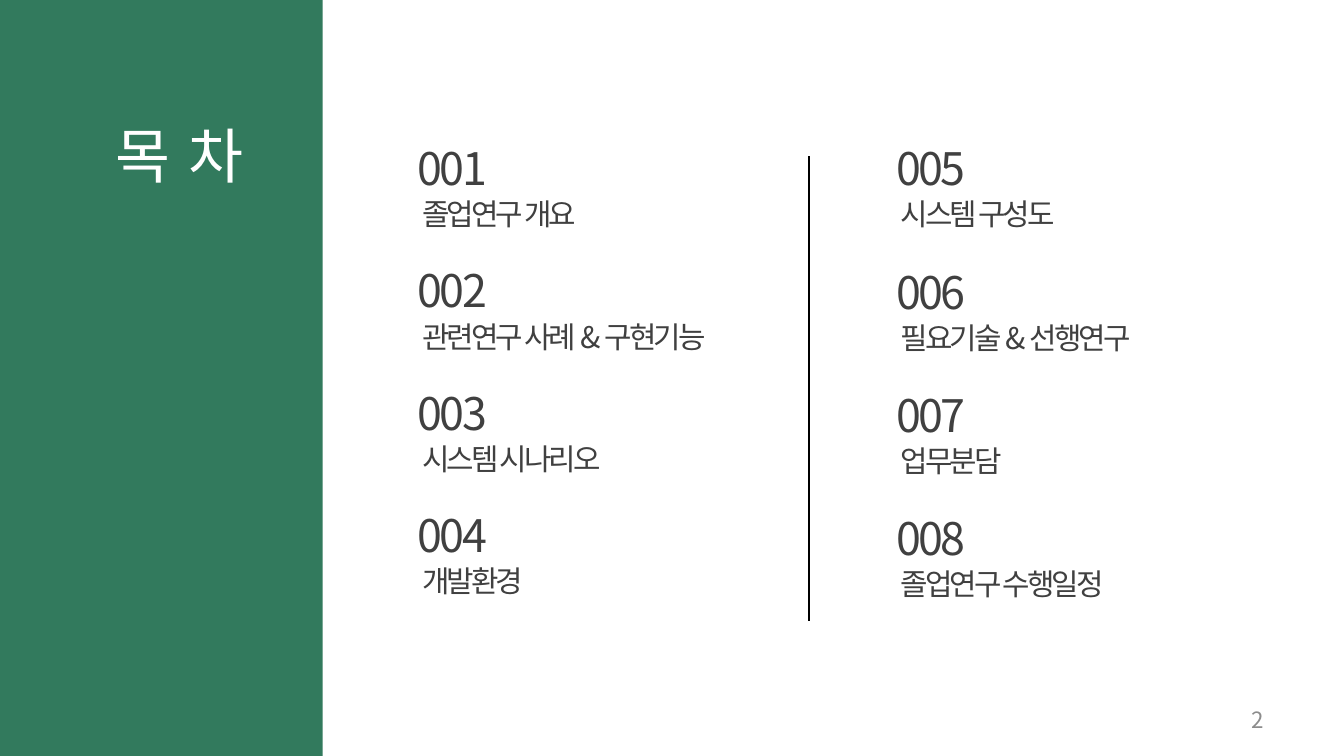
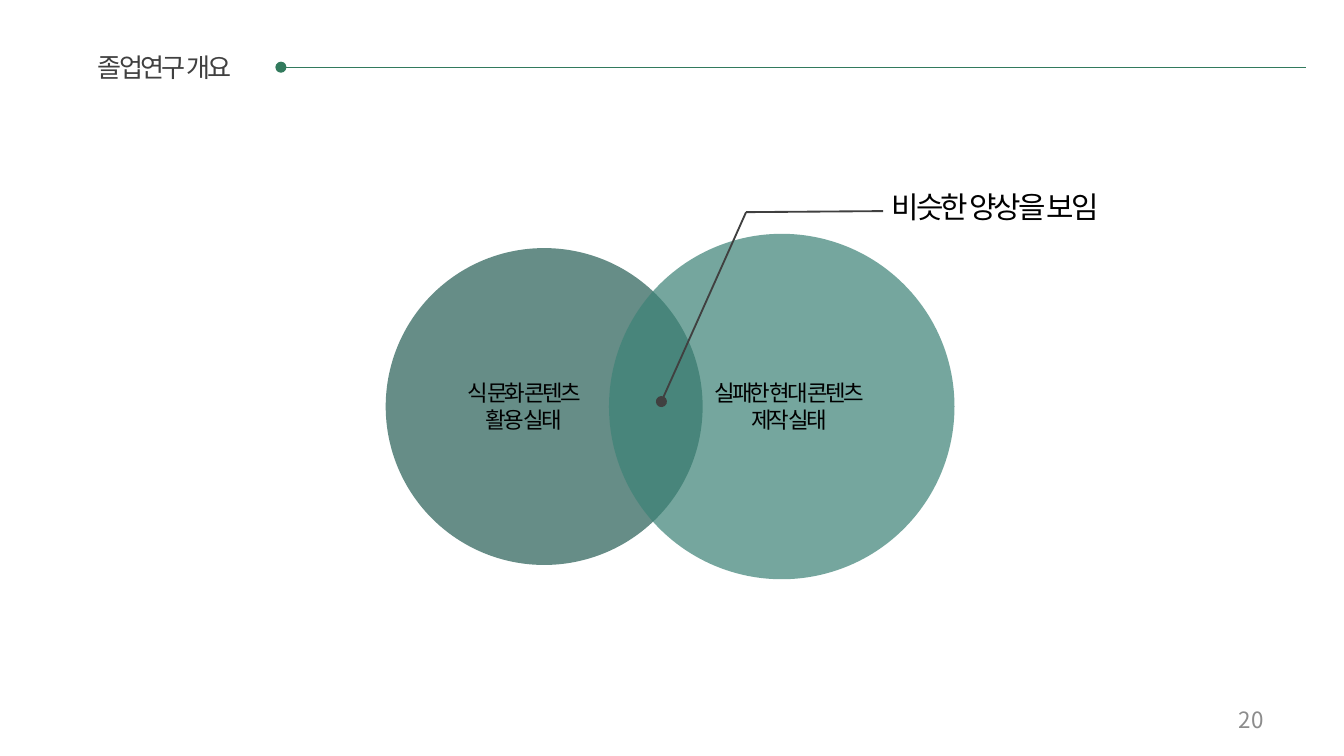
import dataclasses

import pptx
import pptx.dml.color
import pptx.enum.shapes
import pptx.enum.text
import pptx.oxml
import pptx.oxml.ns
import pptx.util
from lxml import etree

Cm = pptx.util.Cm
Pt = pptx.util.Pt
Align = pptx.enum.text.PP_ALIGN
Shape = pptx.enum.shapes.MSO_SHAPE


@dataclasses.dataclass(frozen=True)
class Theme:
    font: str = "Noto Sans CJK KR"
    green: str = "327A5D"
    dark_teal: str = "2E645B"
    light_teal: str = "3D8377"
    white: str = "FFFFFF"
    black: str = "000000"
    charcoal: str = "404040"
    grey: str = "8C8C8C"
    cover_size: float = 32
    number_size: float = 24
    entry_size: float = 16
    title_size: float = 14
    small_size: float = 12
    tight: float = -1.5
    wide: float = 1.35


@dataclasses.dataclass(frozen=True)
class Box:
    """A region in centimetres."""
    left: float
    top: float
    width: float
    height: float

    def inner(self, left, top, width, height):
        """Return a region whose place is measured from this one."""
        return Box(self.left + left, self.top + top, width, height)

    def point(self, x, y):
        return Cm(self.left + x), Cm(self.top + y)

    def lengths(self):
        return Cm(self.left), Cm(self.top), Cm(self.width), Cm(self.height)


THEME = Theme()
PAGE = Box(0, 0, 25.4, 14.29)

COLUMNS = [
    # left, row pitch, caption width, entries
    (7.65, 2.31, 9.2, ["졸업연구 개요", "관련연구 사례 & 구현기능",
                       "시스템 시나리오", "개발환경"]),
    (16.69, 2.33, 6.2, ["시스템 구성도", "필요기술 & 선행연구",
                        "업무분담", "졸업연구 수행일정"]),
]


def rgb(color):
    return pptx.dml.color.RGBColor.from_string(color)


def add_text(slide, box, lines, size, color, align=Align.LEFT,
             spacing=THEME.tight, grow=True):
    frame = slide.shapes.add_textbox(*box.lengths()).text_frame
    frame.word_wrap = True
    if grow:
        frame.auto_size = pptx.enum.text.MSO_AUTO_SIZE.SHAPE_TO_FIT_TEXT
    else:
        frame.vertical_anchor = pptx.enum.text.MSO_ANCHOR.MIDDLE
    frame.text = "\n".join(lines)
    for para in frame.paragraphs:
        para.alignment = align
        para.font.name = THEME.font
        para.font.size = Pt(size)
        para.font.color.rgb = rgb(color)
        style = para._p.pPr.find(pptx.oxml.ns.qn("a:defRPr"))
        style.set("spc", str(round(spacing * 100)))
        east_asian = etree.SubElement(style, pptx.oxml.ns.qn("a:ea"))
        east_asian.set("typeface", THEME.font)


def add_filled(slide, kind, box, color, opacity=100):
    shape = slide.shapes.add_shape(kind, *box.lengths())
    shape.shadow.inherit = False
    shape.line.fill.background()
    shape.fill.solid()
    shape.fill.fore_color.rgb = rgb(color)
    if opacity < 100:
        tint = shape.fill._xPr.find(".//" + pptx.oxml.ns.qn("a:srgbClr"))
        alpha = etree.SubElement(tint, pptx.oxml.ns.qn("a:alpha"))
        alpha.set("val", str(opacity * 1000))


def add_line(slide, start, end, color, width, dot=False):
    """Draw a straight line, with a round dot at its start if asked."""
    line = slide.shapes.add_connector(
        pptx.enum.shapes.MSO_CONNECTOR.STRAIGHT, *start, *end)
    line.line.color.rgb = rgb(color)
    line.line.width = Pt(width)
    properties = line._element.spPr
    if dot:
        outline = properties.find(pptx.oxml.ns.qn("a:ln"))
        head = etree.SubElement(outline, pptx.oxml.ns.qn("a:headEnd"))
        head.set("type", "oval")
    etree.SubElement(properties, pptx.oxml.ns.qn("a:effectLst"))


def add_page_number(slide, page, number):
    add_text(slide, page.inner(18.21, 13.23, 5.92, 0.76), [str(number)],
             THEME.small_size, THEME.grey, Align.RIGHT, spacing=0, grow=False)


def add_side_band(slide, box):
    add_filled(slide, Shape.RECTANGLE, box, THEME.green)
    add_text(slide, box.inner(3, 2.13, 4.19, 1.63), ["목 차"],
             THEME.cover_size, THEME.white, Align.CENTER, THEME.wide)


def add_contents_column(slide, box, entries, first_number, pitch):
    for row, entry in enumerate(entries):
        top = row * pitch
        add_text(slide, box.inner(0, top, 2.59, 1.27),
                 [f"{first_number + row:03}"],
                 THEME.number_size, THEME.charcoal)
        add_text(slide, box.inner(0.08, top + 1.04, box.width, 0.94), [entry],
                 THEME.entry_size, THEME.charcoal)


def add_title_bar(slide, box, title):
    middle = box.height / 2
    add_line(slide, box.point(4.8, middle), box.point(box.width, middle),
             THEME.green, 0.75, dot=True)
    add_text(slide, box.inner(0, 0, 5.21, box.height), [title],
             THEME.title_size, THEME.charcoal, Align.CENTER)


def add_venn(slide, box):
    """Draw two overlapping circles, each centred on the box's height."""
    circles = [
        (0, 5.99, THEME.dark_teal, 73, -0.79, ["식 문화 콘텐츠", "활용 실태"]),
        (4.22, 6.53, THEME.light_teal, 71, 4.22,
         ["실패한 현대 콘텐츠", "제작 실태"]),
    ]
    for left, size, color, opacity, label_left, label in circles:
        circle = box.inner(left, (box.height - size) / 2, size, size)
        add_filled(slide, Shape.OVAL, circle, color, opacity)
        add_text(slide, box.inner(label_left, 2.62, 6.81, 1.27), label,
                 THEME.small_size, THEME.black, Align.CENTER)


def add_callout(slide, box, text):
    """Run a bent line from the box's lower left corner up to the text."""
    elbow = box.point(1.6, 0.56)
    add_line(slide, box.point(0, box.height), elbow,
             THEME.charcoal, 1, dot=True)
    add_line(slide, elbow, box.point(4.19, 0.54), THEME.charcoal, 1)
    add_text(slide, box.inner(3.81, 0, 5, 0.94), [text],
             THEME.entry_size, THEME.black, Align.CENTER)


def build_contents(slide, page):
    add_side_band(slide, page.inner(-1.7, 0, 7.8, page.height))
    first_number = 1
    for left, pitch, width, entries in COLUMNS:
        add_contents_column(slide, page.inner(left, 2.54, width, 9), entries,
                            first_number, pitch)
        first_number += len(entries)
    add_line(slide, page.point(15.29, 2.95), page.point(15.29, 11.73),
             THEME.black, 0.75)
    add_page_number(slide, page, 2)


def build_overview(slide, page):
    add_title_bar(slide, page.inner(0.51, 0.84, 24.18, 0.86), "졸업연구 개요")
    add_venn(slide, page.inner(7.29, 4.42, 10.75, 6.53))
    add_callout(slide, page.inner(12.5, 3.45, 8.81, 4.14), "비슷한 양상을 보임")
    add_page_number(slide, page, 20)


def main():
    deck = pptx.Presentation()
    deck.slide_width, deck.slide_height = Cm(PAGE.width), Cm(PAGE.height)
    for build in (build_contents, build_overview):
        build(deck.slides.add_slide(deck.slide_layouts[6]), PAGE)
    deck.save("out.pptx")


if __name__ == "__main__":
    main()
